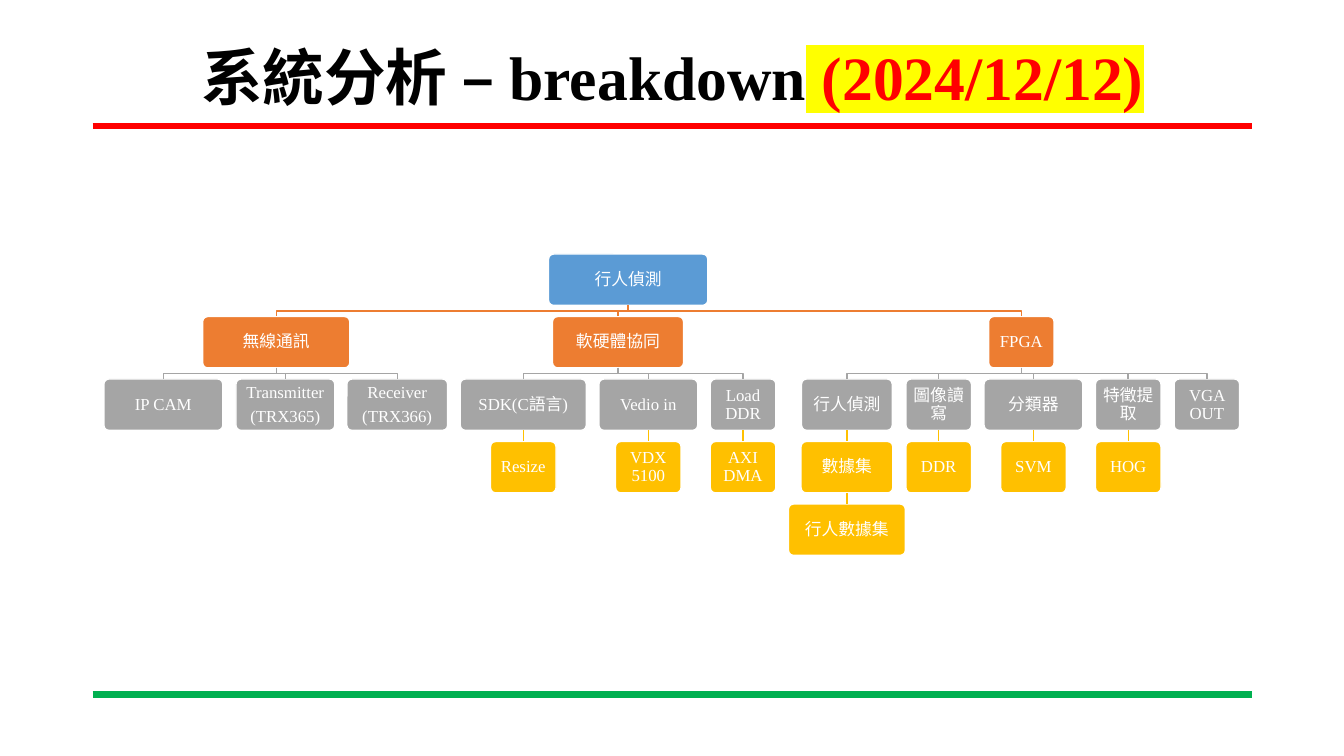
import pptx
import pptx.util
import pptx.dml.color
import pptx.enum.shapes
import pptx.enum.text
import pptx.oxml
import pptx.oxml.ns
from pptx.util import Inches

COLORS = {"root": "5B9BD5", "branch": "ED7D31", "item": "A5A5A5", "detail": "FFC000",
          "white": "FFFFFF", "black": "000000", "red": "FF0000", "green": "00B050",
          "yellow": "FFFF00"}
LEVELS = ["root", "branch", "item", "detail", "detail"]
TOP, STEP, BOX_H = 2.52, 0.62, 0.51


def rgb(name):
    return pptx.dml.color.RGBColor.from_string(COLORS[name])


def add_text(p, text, size=12, color="white", bold=False, highlight=None):
    p.alignment = pptx.enum.text.PP_ALIGN.CENTER
    p.line_spacing = 0.9
    r = p.add_run()
    r.text = text
    r.font.name = "Times New Roman"
    r.font.size = pptx.util.Pt(size)
    r.font.bold = bold
    r.font.color.rgb = rgb(color)
    if highlight:
        mark = pptx.oxml.parse_xml(
            f'<a:highlight {pptx.oxml.ns.nsdecls("a")}>'
            f'<a:srgbClr val="{COLORS[highlight]}"/></a:highlight>')
        r.font._element.find(pptx.oxml.ns.qn("a:latin")).addprevious(mark)


prs = pptx.Presentation()
prs.slide_width, prs.slide_height = Inches(13.33), Inches(7.5)
s = prs.slides.add_slide(prs.slide_layouts[5])
straight = pptx.enum.shapes.MSO_CONNECTOR.STRAIGHT

# Rules under the title and at the foot
for y, color in [(1.25, "red"), (6.89, "green")]:
    line = s.shapes.add_connector(straight, Inches(0.92), Inches(y), Inches(12.42), Inches(y))
    line.line.color.rgb = rgb(color)
    line.line.width = pptx.util.Pt(4.5)
    line._element.spPr.append(pptx.oxml.parse_xml(
        f'<a:effectLst {pptx.oxml.ns.nsdecls("a")}/>'))

# Title
title = s.shapes.title
title.left, title.top = Inches(0.92), Inches(0.4)
title.width, title.height = Inches(11.5), Inches(0.79)
tf = title.text_frame
tf.vertical_anchor = pptx.enum.text.MSO_ANCHOR.MIDDLE
tf.auto_size = pptx.enum.text.MSO_AUTO_SIZE.NONE
add_text(tf.paragraphs[0], "系統分析 – breakdown", size=44, color="black", bold=True)
add_text(tf.paragraphs[0], " (2024/12/12)", size=44, color="red", bold=True,
         highlight="yellow")

# Tree, depth first: level, centre, width, text
nodes = [
    (0, 6.23, 1.58, "行人偵測"),
    (1, 2.74, 1.46, "無線通訊"),
    (2, 1.62, 1.18, "IP CAM"),
    (2, 2.83, 0.98, "Transmitter\n(TRX365)"),
    (2, 3.94, 1.0, "Receiver\n(TRX366)"),
    (1, 6.13, 1.3, "軟硬體協同"),
    (2, 5.19, 1.25, "SDK(C語言)"),
    (3, 5.19, 0.65, "Resize"),
    (2, 6.43, 0.98, "Vedio in"),
    (3, 6.43, 0.65, "VDX 5100"),
    (2, 7.37, 0.65, "Load DDR"),
    (3, 7.37, 0.65, "AXI DMA"),
    (1, 10.13, 0.65, "FPGA"),
    (2, 8.4, 0.9, "行人偵測"),
    (3, 8.4, 0.91, "數據集"),
    (4, 8.4, 1.16, "行人數據集"),
    (2, 9.31, 0.65, "圖像讀寫"),
    (3, 9.31, 0.65, "DDR"),
    (2, 10.25, 0.98, "分類器"),
    (3, 10.25, 0.65, "SVM"),
    (2, 11.19, 0.65, "特徵提取"),
    (3, 11.19, 0.65, "HOG"),
    (2, 11.97, 0.65, "VGA OUT"),
]

parents = {}  # latest box and its centre on each level
for level, center, width, text in nodes:
    top = TOP + STEP * level

    # Box
    sp = s.shapes.add_shape(pptx.enum.shapes.MSO_SHAPE.ROUNDED_RECTANGLE,
                            Inches(center - width / 2), Inches(top),
                            Inches(width), Inches(BOX_H))
    sp.adjustments[0] = 0.1
    sp.shadow.inherit = False
    sp.fill.solid()
    sp.fill.fore_color.rgb = rgb(LEVELS[level])
    sp.line.color.rgb = rgb("white")
    sp.line.width = pptx.util.Pt(1)
    tf = sp.text_frame
    tf.word_wrap = True
    tf.vertical_anchor = pptx.enum.text.MSO_ANCHOR.MIDDLE
    tf.margin_left = tf.margin_right = tf.margin_top = tf.margin_bottom = Inches(0.06)
    for i, words in enumerate(text.split("\n")):
        p = tf.add_paragraph() if i else tf.paragraphs[0]
        p.space_after = pptx.util.Pt(4.2)
        add_text(p, words)
    parents[level] = sp, center
    if level == 0:
        continue

    # Link from the parent's bottom to the box's top
    parent, parent_x = parents[level - 1]
    if parent_x == center:
        link = s.shapes.add_connector(straight, 0, 0, 0, 0)
        link.begin_connect(parent, 2)
        link.end_connect(sp, 0)
        link._element.spPr.append(pptx.oxml.parse_xml(
            f'<a:effectLst {pptx.oxml.ns.nsdecls("a")}/>'))
    else:
        start = top - STEP + BOX_H
        middle = (start + top) / 2
        fb = s.shapes.build_freeform(Inches(parent_x), Inches(start))
        fb.add_line_segments([(Inches(x), Inches(y)) for x, y in
                              [(parent_x, middle), (center, middle), (center, top)]],
                             close=False)
        link = fb.convert_to_shape()
        link.fill.background()
        link.shadow.inherit = False
    link.line.color.rgb = rgb(LEVELS[level])
    link.line.width = pptx.util.Pt(1)

prs.save("out.pptx")
